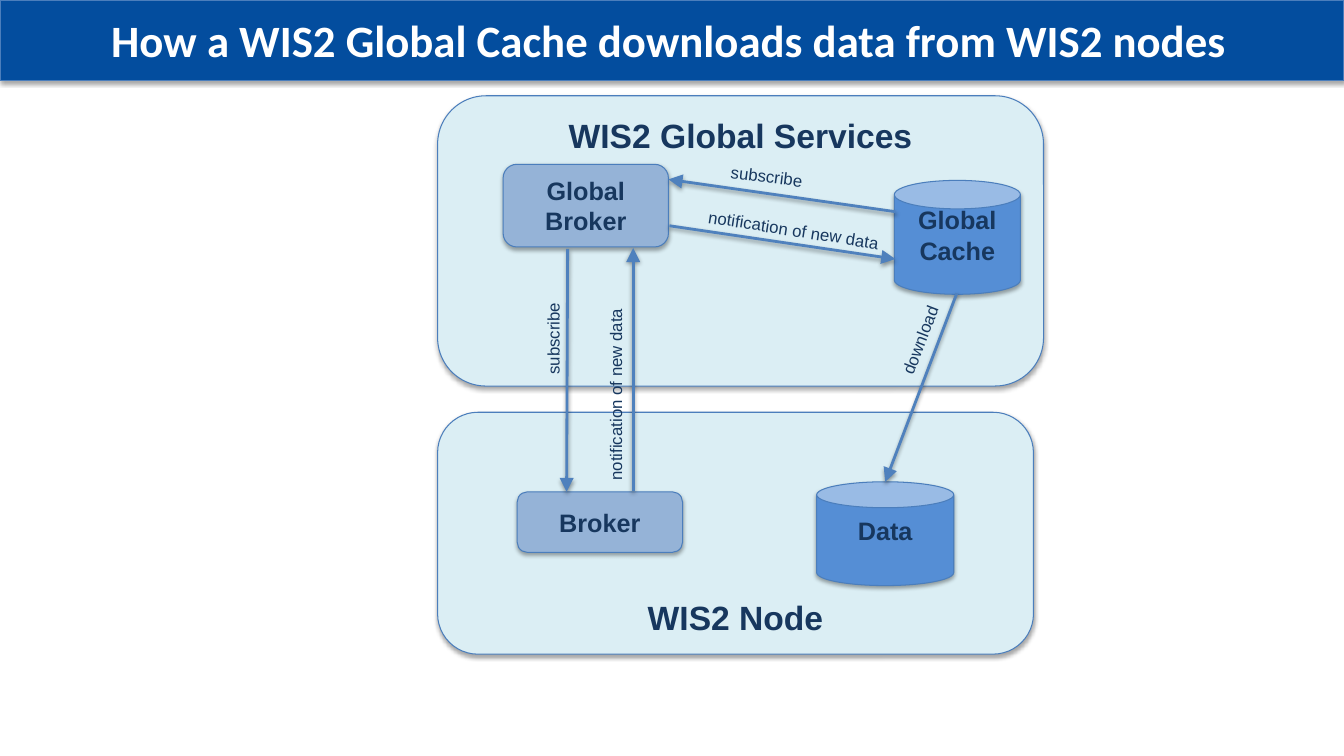
from dataclasses import dataclass

from lxml import etree
from pptx import Presentation
from pptx import util as u
from pptx.dml.color import RGBColor
from pptx.enum import shapes, text
from pptx.oxml import ns

PX = 9144  # one px is a hundredth of an inch


@dataclass(frozen=True)
class Theme:
    banner: str = "034D9E"
    banner_text: str = "FFFFFF"
    panel: str = "DBEEF4"
    broker: str = "95B3D7"
    store: str = "558ED5"
    outline: str = "4B7EBC"
    arrow: str = "4F81BD"
    ink: str = "17375E"
    title_size: int = 32
    panel_size: int = 24
    node_size: int = 18
    label_size: int = 12
    title_font: str = "Calibri"
    body_font: str = "Arial"


@dataclass(frozen=True)
class Node:
    name: str
    kind: shapes.MSO_SHAPE
    place: tuple[int, int, int, int]
    fill: str
    size: int
    anchor: text.MSO_ANCHOR = text.MSO_ANCHOR.MIDDLE
    bottom_inset: int = 5


@dataclass(frozen=True)
class Flow:
    """An arrow between two points, with its turned label."""
    label: str
    start: tuple[int, int]
    end: tuple[int, int]
    label_place: tuple[int, int, int, int]
    rotation: float


THEME = Theme()
ROUND, CAN = shapes.MSO_SHAPE.ROUNDED_RECTANGLE, shapes.MSO_SHAPE.CAN
STORE_INSET = 24

NODES = [
    Node("WIS2 Global Services", ROUND, (434, 95, 601, 288), THEME.panel,
         THEME.panel_size, text.MSO_ANCHOR.TOP),
    Node("WIS2 Node", ROUND, (434, 409, 591, 240), THEME.panel,
         THEME.panel_size, text.MSO_ANCHOR.BOTTOM),
    Node("Data", CAN, (810, 478, 136, 103), THEME.store, THEME.node_size,
         bottom_inset=STORE_INSET),
    Node("Global Broker", ROUND, (499, 163, 164, 82), THEME.broker, THEME.node_size),
    Node("Broker", ROUND, (513, 488, 164, 60), THEME.broker, THEME.node_size),
    Node("Global Cache", CAN, (887, 179, 125, 113), THEME.store, THEME.node_size,
         bottom_inset=STORE_INSET),
]

FLOWS = [
    Flow("subscribe", (563, 247), (562, 488), (502, 320, 93, 30), 270),
    Flow("notification of new data", (628, 487), (628, 246), (510, 371, 201, 30), 270),
    Flow("download", (949, 291), (878, 478), (864, 318, 100, 30), 291),
    Flow("subscribe", (888, 210), (663, 178), (715, 160, 93, 30), 7.2),
    Flow("notification of new data", (664, 224), (888, 257), (692, 214, 201, 30), 8.97),
]


def emu(*lengths: int) -> list[u.Emu]:
    return [u.Emu(length * PX) for length in lengths]


def add_shadow(properties, distance: int, opacity: int) -> None:
    """Give shape properties a soft shadow straight below."""
    effects = properties.find(ns.qn("a:effectLst"))
    if effects is None:
        effects = etree.SubElement(properties, ns.qn("a:effectLst"))
    shadow = etree.SubElement(effects, ns.qn("a:outerShdw"), blurRad="39370",
                              dist=str(distance), dir="5400000", rotWithShape="0")
    colour = etree.SubElement(shadow, ns.qn("a:srgbClr"), val="000000")
    etree.SubElement(colour, ns.qn("a:alpha"), val=str(opacity * 1000))


def style_box(box, fill: str) -> None:
    box.fill.solid()
    box.fill.fore_color.rgb = RGBColor.from_string(fill)
    box.line.color.rgb = RGBColor.from_string(THEME.outline)
    box.line.width = u.Pt(0.75)
    box.shadow.inherit = False
    add_shadow(box._element.spPr, distance=23000, opacity=35)


def write(box, words: str, *, size: int, font: str = THEME.body_font,
          colour: str = THEME.ink, bold: bool = True,
          align: text.PP_ALIGN = text.PP_ALIGN.CENTER,
          anchor: text.MSO_ANCHOR = text.MSO_ANCHOR.MIDDLE,
          fit: text.MSO_AUTO_SIZE = text.MSO_AUTO_SIZE.NONE) -> None:
    frame = box.text_frame
    frame.word_wrap = True
    frame.auto_size = fit
    frame.vertical_anchor = anchor
    para = frame.paragraphs[0]
    para.alignment = align
    span = para.add_run()
    span.text = words
    span.font.size = u.Pt(size)
    span.font.name = font
    span.font.bold = bold
    span.font.color.rgb = RGBColor.from_string(colour)


def set_title(page, words: str) -> None:
    title = page.shapes.title
    title.left, title.top, title.width, title.height = emu(0, 0, 1333, 80)
    style_box(title, THEME.banner)
    write(title, words, size=THEME.title_size, font=THEME.title_font,
          colour=THEME.banner_text)
    title.text_frame.margin_right = u.Emu(16 * PX)
    title.text_frame.margin_bottom = u.Emu(6 * PX)


def draw_node(page, node: Node) -> None:
    box = page.shapes.add_shape(node.kind, *emu(*node.place))
    style_box(box, node.fill)
    write(box, node.name, size=node.size, anchor=node.anchor)
    box.text_frame.margin_bottom = u.Emu(node.bottom_inset * PX)


def draw_flow(page, flow: Flow) -> None:
    arrow = page.shapes.add_connector(shapes.MSO_CONNECTOR.STRAIGHT,
                                      *emu(*flow.start, *flow.end))
    arrow.line.color.rgb = RGBColor.from_string(THEME.arrow)
    arrow.line.width = u.Pt(2)
    properties = arrow._element.spPr
    etree.SubElement(properties.find(ns.qn("a:ln")), ns.qn("a:tailEnd"),
                     type="triangle", w="lg", len="lg")
    add_shadow(properties, distance=20000, opacity=38)

    label = page.shapes.add_textbox(*emu(*flow.label_place))
    label.rotation = flow.rotation
    write(label, flow.label, size=THEME.label_size, bold=False,
          align=text.PP_ALIGN.LEFT, anchor=text.MSO_ANCHOR.TOP,
          fit=text.MSO_AUTO_SIZE.SHAPE_TO_FIT_TEXT)


def main() -> None:
    deck = Presentation()
    deck.slide_width, deck.slide_height = emu(1333, 750)
    title_only = deck.slide_layouts.get_by_name("Title Only")
    page = deck.slides.add_slide(title_only)
    set_title(page, "How a WIS2 Global Cache downloads data from WIS2 nodes")
    for node in NODES:
        draw_node(page, node)
    for flow in FLOWS:
        draw_flow(page, flow)
    deck.save("out.pptx")


if __name__ == "__main__":
    main()
